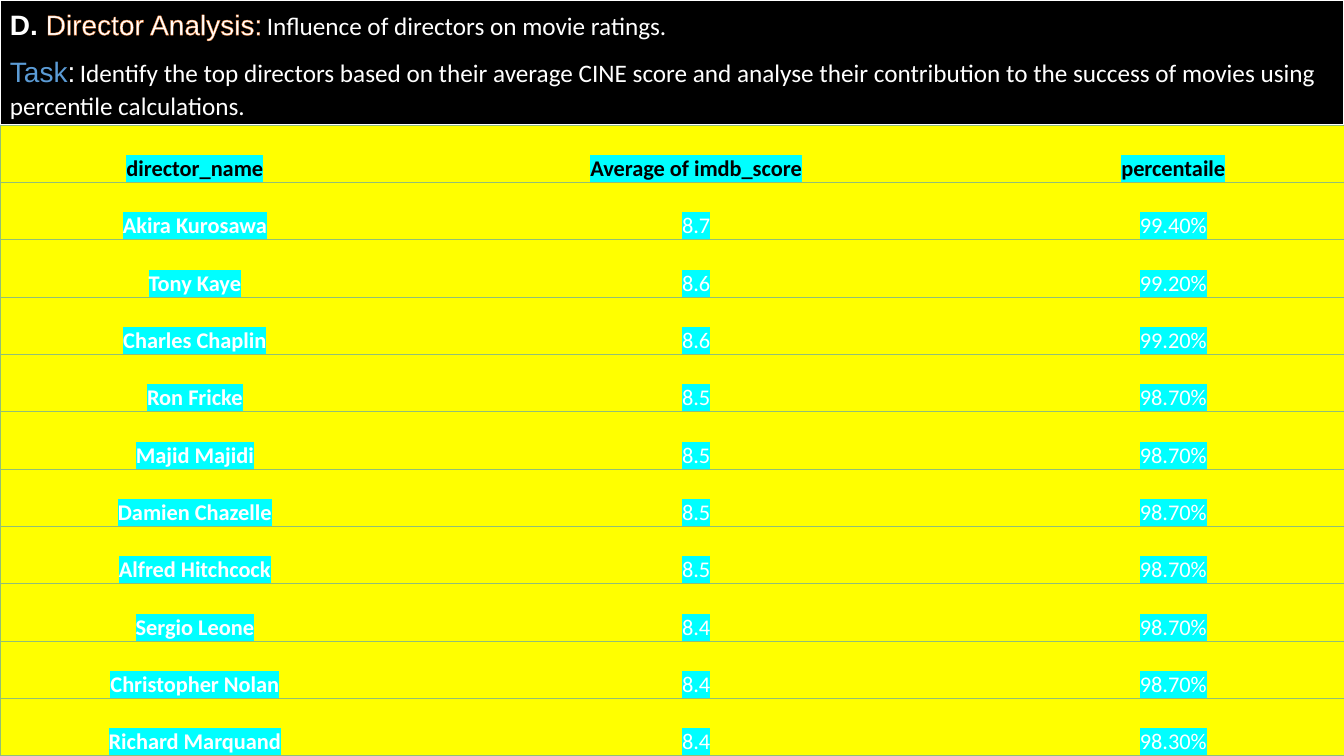
import dataclasses

import pptx
import pptx.dml.color
import pptx.enum.shapes
import pptx.enum.text
import pptx.oxml
import pptx.oxml.ns
import pptx.util
from lxml import etree

Pt = pptx.util.Pt
NS = pptx.oxml.ns.nsdecls("a")


@dataclasses.dataclass(frozen=True)
class Theme:
    black: str = "000000"
    white: str = "FFFFFF"
    yellow: str = "FFFF00"
    cyan: str = "00FFFF"
    orange: str = "ED7D31"
    border: str = "91BF77"
    task: tuple = ((0, "1F4E79"), (50, "5B9BD5"), (100, "9DC3E6"))
    heading_font: str = "Arial"
    body_font: str = "Calibri"
    heading: int = 20
    body: int = 18
    cell: int = 16
    gap: int = 14
    hairline: float = 0.75


T = Theme()

DIRECTORS = [
    ("director_name", "Average of imdb_score", "percentaile"),
    ("Akira Kurosawa", "8.7", "99.40%"),
    ("Tony Kaye", "8.6", "99.20%"),
    ("Charles Chaplin", "8.6", "99.20%"),
    ("Ron Fricke", "8.5", "98.70%"),
    ("Majid Majidi", "8.5", "98.70%"),
    ("Damien Chazelle", "8.5", "98.70%"),
    ("Alfred Hitchcock", "8.5", "98.70%"),
    ("Sergio Leone", "8.4", "98.70%"),
    ("Christopher Nolan", "8.4", "98.70%"),
    ("Richard Marquand", "8.4", "98.30%"),
]


def rgb(color):
    return pptx.dml.color.RGBColor.from_string(color)


def solid(color):
    return f'<a:solidFill {NS}><a:srgbClr val="{color}"/></a:solidFill>'


def add_run(p, text, size, font, color=None, bold=False):
    r = p.add_run()
    r.text = text
    r.font.size = Pt(size)
    r.font.bold = bold
    r.font.name = font
    if color:
        r.font.color.rgb = rgb(color)
    return r


def outline(r):
    xml = f'<a:ln {NS} w="{Pt(T.hairline)}">{solid(T.orange)}</a:ln>'
    r.font._element.insert(0, etree.fromstring(xml))


def gradient(r, stops):
    gs = "".join(f'<a:gs pos="{pos * 1000}"><a:srgbClr val="{c}"/></a:gs>' for pos, c in stops)
    xml = f'<a:gradFill {NS}><a:gsLst>{gs}</a:gsLst><a:lin ang="5400000" scaled="0"/></a:gradFill>'
    r.font._element.insert(0, etree.fromstring(xml))


def highlight(r, color):
    xml = f'<a:highlight {NS}><a:srgbClr val="{color}"/></a:highlight>'
    r.font._element.find(pptx.oxml.ns.qn("a:latin")).addprevious(etree.fromstring(xml))


def space(p):
    p.line_spacing = 1.07
    p.space_after = Pt(8)


def set_borders(cell, shown):
    tcPr = cell._tc.get_or_add_tcPr()
    for i, side in enumerate("LRTB"):
        fill = solid(T.border) if side in shown else "<a:noFill/>"
        xml = f'<a:ln{side} {NS} w="{Pt(T.hairline)}">{fill}</a:ln{side}>'
        tcPr.insert(i, etree.fromstring(xml))


def add_header(s, x, y, w, h):
    sp = s.shapes.add_shape(pptx.enum.shapes.MSO_SHAPE.RECTANGLE, Pt(x), Pt(y), Pt(w), Pt(h))
    sp.shadow.inherit = False
    sp.fill.solid()
    sp.fill.fore_color.rgb = rgb(T.black)
    sp.line.color.rgb = rgb(T.white)
    sp.line.width = Pt(2)
    tf = sp.text_frame
    tf.word_wrap = True
    tf.auto_size = pptx.enum.text.MSO_AUTO_SIZE.SHAPE_TO_FIT_TEXT
    tf.vertical_anchor = pptx.enum.text.MSO_ANCHOR.MIDDLE

    title, task = tf.paragraphs[0], tf.add_paragraph()
    for p in (title, task):
        p.alignment = pptx.enum.text.PP_ALIGN.LEFT
        space(p)

    add_run(title, "D. ", T.heading, T.heading_font, T.white, True)
    outline(add_run(title, "Director Analysis:", T.heading, T.heading_font, T.white))
    outline(add_run(title, "\N{NO-BREAK SPACE}", T.gap, T.body_font, T.white, True))
    add_run(title, "Influence of directors on movie ratings.", T.body, T.body_font, T.white)

    gradient(add_run(task, "Task", T.heading, T.heading_font), T.task)
    add_run(task, ":", T.heading, T.heading_font, T.white)
    add_run(task, " ", T.gap, T.body_font, T.white)
    add_run(task, "Identify the top directors based on their average CINE score and analyse "
            "their contribution to the success of movies using percentile calculations.",
            T.body, T.body_font, T.white)


def add_directors(s, x, y, w, h):
    n_rows, n_cols = len(DIRECTORS), len(DIRECTORS[0])
    frame = s.shapes.add_table(n_rows, n_cols, Pt(x), Pt(y), Pt(w), Pt(h))
    table = frame.table
    for column, share in zip(table.columns, (0.29, 0.456, 0.254)):
        column.width = Pt(w * share)
    for i, record in enumerate(DIRECTORS):
        table.rows[i].height = Pt(h / n_rows)
        for j, text in enumerate(record):
            cell = table.cell(i, j)
            cell.fill.solid()
            cell.fill.fore_color.rgb = rgb(T.yellow)
            cell.vertical_anchor = pptx.enum.text.MSO_ANCHOR.BOTTOM
            cell.margin_left = cell.margin_right = Pt(5)
            cell.margin_top = cell.margin_bottom = Pt(0)
            set_borders(cell, "TB" + ("L" if j == 0 else "") + ("R" if j == n_cols - 1 else ""))
            p = cell.text_frame.paragraphs[0]
            p.alignment = pptx.enum.text.PP_ALIGN.CENTER
            space(p)
            color = T.black if i == 0 else T.white
            r = add_run(p, text, T.cell, T.body_font, color, i == 0 or j == 0)
            highlight(r, T.cyan)


def main():
    width, height, header = 960, 540, 89.3
    prs = pptx.Presentation()
    prs.slide_width, prs.slide_height = Pt(width), Pt(height)
    s = prs.slides.add_slide(prs.slide_layouts[6])
    s.background.fill.solid()
    s.background.fill.fore_color.rgb = rgb(T.black)
    add_header(s, 0, 0, width, header)
    add_directors(s, 0, header, width, height - header)
    prs.save("out.pptx")


if __name__ == "__main__":
    main()
